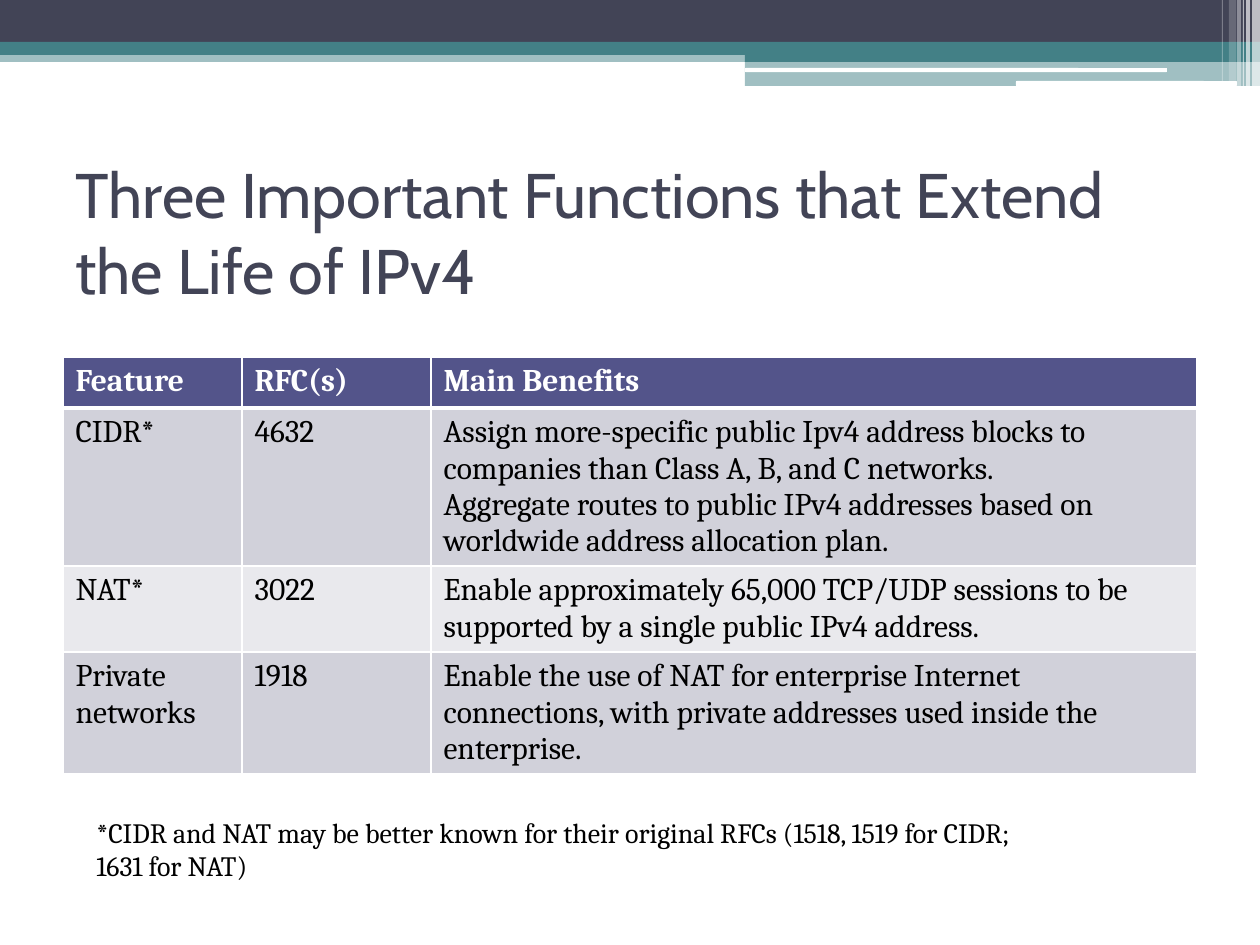
from lxml import etree
from pptx import Presentation
from pptx.dml.color import RGBColor
from pptx.enum.shapes import MSO_SHAPE
from pptx.enum.text import MSO_ANCHOR, PP_ALIGN
from pptx.oxml.ns import qn
from pptx.util import Pt

RECT = MSO_SHAPE.RECTANGLE
ROUND = MSO_SHAPE.ROUNDED_RECTANGLE
MIDDLE = MSO_ANCHOR.MIDDLE
LEFT = PP_ALIGN.LEFT
SCALE = 914400 / 126
COLORS = {
    "white": "FFFFFF", "black": "000000", "navy": "424456", "teal": "438086",
    "head": "53548A", "dark": "D1D1DA", "light": "E9E9ED",
}
BARS = [
    (0, 50, 1260, 12, "teal", 50), (0, 0, 1260, 43, "navy", 100),
    (0, 42, 1260, 13, "teal", 100), (745, 49, 515, 13, "teal", 100),
    (745, 61, 515, 25, "teal", 50),
]
LINES = [(745, 68, 422, 4), (1016, 81, 221, 5)]
STRIPES = [
    (1252, 8, 86, 65), (1246, 4, 86, 65), (1243, 1, 86, 60),
    (1237, 4, 86, 40), (1229, 7, 81, 20), (1222, 1, 81, 30),
]
COLS = [179, 189, 766]
ROWS = [51, 158, 86, 121]
DATA = [
    ("Feature", "RFC(s)", "Main Benefits"),
    ("CIDR*", "4632",
     "Assign more-specific public Ipv4 address blocks to companies than "
     "Class A, B, and C networks.\nAggregate routes to public IPv4 addresses "
     "based on worldwide address allocation plan."),
    ("NAT*", "3022",
     "Enable approximately 65,000 TCP/UDP sessions to be supported by a "
     "single public IPv4 address."),
    ("Private networks", "1918",
     "Enable the use of NAT for enterprise Internet connections, with "
     "private addresses used inside the enterprise."),
]
NOTE = ("*CIDR and NAT may be better known for their original RFCs "
        "(1518, 1519 for CIDR;\v1631 for NAT)")


def px(n):
    return round(n * SCALE)


def rgb(name):
    return RGBColor.from_string(COLORS[name])


class Deck:
    """Holds the style and the current slide."""

    def __init__(self):
        self.prs = Presentation()
        self.prs.slide_width, self.prs.slide_height = px(1260), px(945)
        self.slide = self.prs.slides.add_slide(self.prs.slide_layouts[5])
        self.shapes = self.slide.shapes

    def label(self, frame, text, size, font, color, bold=False):
        frame.text = text
        for para in frame.paragraphs:
            para.alignment = LEFT
            for run in para.runs:
                run.font.size, run.font.name = Pt(size), font
                run.font.bold = bold
                run.font.color.rgb = rgb(color)

    def bar(self, x, y, w, h, color, alpha=100, kind=RECT):
        shape = self.shapes.add_shape(kind, px(x), px(y), px(w), px(h))
        shape.shadow.inherit = False
        shape.fill.solid()
        shape.fill.fore_color.rgb = rgb(color)
        shape.line.fill.background()
        if alpha < 100:
            tint = shape._element.spPr.find(".//" + qn("a:srgbClr"))
            etree.SubElement(tint, qn("a:alpha"), val=str(alpha * 1000))

    def title(self, x, y, w, h, text):
        shape = self.shapes.title
        shape.left, shape.top = px(x), px(y)
        shape.width, shape.height = px(w), px(h)
        self.label(shape.text_frame, text, 36, "Cabin", "navy")
        shape.text_frame.vertical_anchor = MIDDLE

    def edge(self, cell, widths):
        props = cell._tc.get_or_add_tcPr()
        for i, (side, width) in enumerate(zip("LRTB", widths)):
            line = etree.Element(qn("a:ln" + side), w=str(int(Pt(width))))
            fill = etree.SubElement(line, qn("a:solidFill"))
            etree.SubElement(fill, qn("a:srgbClr"), val=COLORS["white"])
            props.insert(i, line)

    def table(self, x, y, cols, rows, data):
        frame = self.shapes.add_table(
            len(rows), len(cols), px(x), px(y), px(sum(cols)), px(sum(rows)))
        grid = frame.table
        for col, w in zip(grid.columns, cols):
            col.width = px(w)
        for r, (row, h) in enumerate(zip(grid.rows, rows)):
            row.height = px(h)
            head = r == 0
            back = "head" if head else "dark" if r % 2 else "light"
            for cell, text in zip(row.cells, data[r]):
                self.label(cell.text_frame, text, 18, "Cambria",
                           "white" if head else "black", head)
                cell.fill.solid()
                cell.fill.fore_color.rgb = rgb(back)
                self.edge(cell, (1, 1, 3 if r == 1 else 1, 3 if head else 1))

    def note(self, x, y, w, h, text):
        box = self.shapes.add_textbox(px(x), px(y), px(w), px(h))
        box.text_frame.word_wrap = True
        self.label(box.text_frame, text, 16, "Cambria", "black")


def main():
    deck = Deck()
    for item in BARS:
        deck.bar(*item)
    for item in LINES:
        deck.bar(*item, "white", kind=ROUND)
    for x, w, h, alpha in STRIPES:
        deck.bar(x, 0, w, h, "white", alpha)
    deck.title(63, 158, 1134, 147,
               "Three Important Functions that Extend the Life of IPv4")
    deck.table(63, 357, COLS, ROWS, DATA)
    deck.note(84, 809, 1063, 81, NOTE)
    deck.prs.save("out.pptx")


if __name__ == "__main__":
    main()
